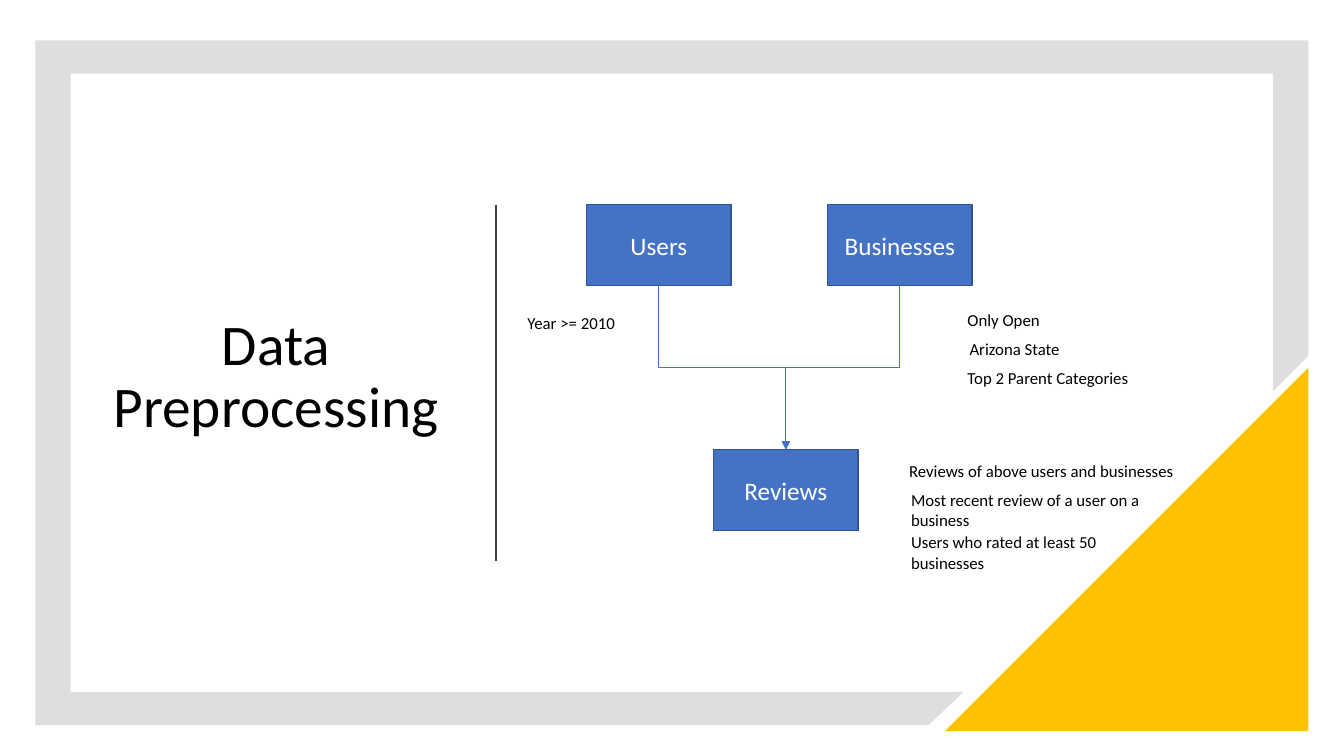
from lxml import etree
from pptx import Presentation
from pptx.dml.color import RGBColor
from pptx.enum.shapes import MSO_CONNECTOR, MSO_SHAPE
from pptx.enum.text import MSO_ANCHOR, PP_ALIGN
from pptx.oxml.ns import qn
from pptx.util import Inches, Pt

RECT, WEDGE = MSO_SHAPE.RECTANGLE, MSO_SHAPE.RIGHT_TRIANGLE
LINE, ELBOW = MSO_CONNECTOR.STRAIGHT, MSO_CONNECTOR.ELBOW
MID, TOP = MSO_ANCHOR.MIDDLE, MSO_ANCHOR.TOP
LEFT, MIDDLE, RIGHT = PP_ALIGN.LEFT, PP_ALIGN.CENTER, PP_ALIGN.RIGHT
HUES = {"frame": "7F7F7F", "gold": "FFC000", "blue": "4472C4", "edge": "31538F",
        "rule": "3F3F3F", "ink": "000000", "white": "FFFFFF"}
WIDE, HIGH = Inches(13.33), Inches(7.5)
COL, ROW = WIDE / 100, HIGH / 100


def hue(name):
    return RGBColor.from_string(HUES[name])


def cell(box, x, y, w, h):
    return (round((box[0] + x) * COL), round((box[1] + y) * ROW),
            round(w * COL), round(h * ROW))


def paint(shape, name):
    shape.shadow.inherit = False
    shape.fill.solid()
    shape.fill.fore_color.rgb = hue(name)
    shape.line.fill.background()


def write(shape, lines, size, ink="ink", align=LEFT, anchor=TOP, gap=1.0):
    frame = shape.text_frame
    frame.word_wrap = True
    frame.vertical_anchor = anchor
    for n, line in enumerate(lines):
        para = frame.paragraphs[0] if n == 0 else frame.add_paragraph()
        para.text = line
        for key, value in {"alignment": align, "line_spacing": gap}.items():
            setattr(para, key, value)
        for key, value in {"name": "Calibri", "size": Pt(size)}.items():
            setattr(para.font, key, value)
        para.font.color.rgb = hue(ink)


def draw(link, name, width):
    link.line.color.rgb = hue(name)
    link.line.width = Pt(width)
    etree.SubElement(link._element.spPr, qn("a:effectLst"))


def border(shapes, box):
    x, y, w, h = box
    dx, dy = 2.63, 4.4
    right, foot = x + w, y + h
    points = [(x, y), (right, y), (right, y + 41.73), (right - dx, y + 46.4),
              (right - dx, y + dy), (x + dx, y + dy), (x + dx, foot - dy),
              (x + 69.08, foot - dy), (x + 66.45, foot), (x, foot)]
    spots = [(round(a * COL), round(b * ROW)) for a, b in points]
    path = shapes.build_freeform(*spots[0])
    path.add_line_segments(spots[1:], close=True)
    band = path.convert_to_shape()
    paint(band, "frame")
    tone = band._element.spPr.find(qn("a:solidFill"))[0]
    etree.SubElement(tone, qn("a:alpha"), val="25000")


def corner(shapes, box):
    wedge = shapes.add_shape(WEDGE, *cell(box, 0, 0, *box[2:]))
    paint(wedge, "gold")
    wedge._element.spPr.xfrm.set("flipH", "1")


def heading(shapes, box):
    title = shapes.add_textbox(*cell(box, 0, 0, 27, box[3]))
    write(title, ["Data Preprocessing"], 41, align=MIDDLE, anchor=MID, gap=0.9)
    x, y, _, h = cell(box, 29.85, 9.74, 0, 47.2)
    draw(shapes.add_connector(LINE, x, y, x, y + h), "rule", 1.5)


def node(shapes, box, name, x, y):
    block = shapes.add_shape(RECT, *cell(box, x, y, 10.75, 10.67))
    paint(block, "blue")
    block.line.color.rgb = hue("edge")
    block.line.width = Pt(1)
    write(block, [name], 18, "white", MIDDLE, MID)
    return block


def join(shapes, start, end):
    link = shapes.add_connector(ELBOW, 0, 0, 0, 0)
    link.begin_connect(start, 2)
    link.end_connect(end, 0)
    x, y = start.left + start.width // 2, start.top + start.height
    dx, dy = end.left + end.width // 2 - x, end.top - y
    place = {"left": x + (dx - dy) // 2, "top": y + (dy - abs(dx)) // 2,
             "width": dy, "height": abs(dx)}
    for key, value in place.items():
        setattr(link, key, value)
    turn = link._element.spPr.xfrm
    for flip in ("flipH", "flipV"):
        turn.attrib.pop(flip, None)
    turn.set("rot", "16200000" if dx > 0 else "5400000")
    if dx > 0:
        turn.set("flipH", "1")
    draw(link, "blue", 0.75)
    tip = link._element.spPr.find(qn("a:ln"))
    etree.SubElement(tip, qn("a:tailEnd"), type="triangle")


def flow(shapes, box):
    users = node(shapes, box, "Users", 9, 0)
    firms = node(shapes, box, "Businesses", 26.93, 0)
    views = node(shapes, box, "Reviews", 18.45, 32.4)
    for start in (firms, users):
        join(shapes, start, views)
    notes = [
        (0, 13.6, 11.85, RIGHT, ["Year >= 2010"]),
        (36.6, 13.2, 11.85, LEFT, ["Only Open"]),
        (36.75, 17.07, 11.85, LEFT, ["Arizona State"]),
        (36.6, 20.93, 13.88, LEFT, ["Top 2 Parent Categories"]),
        (32.25, 33.2, 21.6, LEFT, ["Reviews of above users and businesses"]),
        (32.4, 37.07, 20.55, LEFT, ["Most recent review of a user on a business"]),
        (32.4, 42.67, 21.6, LEFT, ["Users who rated at least 50", "businesses"]),
    ]
    for x, y, w, align, lines in notes:
        tall = 6.73 if len(" ".join(lines)) > 37 else 4
        note = shapes.add_textbox(*cell(box, x, y, w, tall))
        write(note, lines, 12, align=align)


def main():
    deck = Presentation()
    deck.slide_width, deck.slide_height = WIDE, HIGH
    shapes = deck.slides.add_slide(deck.slide_layouts[6]).shapes
    border(shapes, (2.63, 5.33, 94.72, 90.6))
    corner(shapes, (70.35, 48.67, 27, 48))
    heading(shapes, (7.05, 17.33, 29.85, 65.33))
    flow(shapes, (34.65, 27.07, 54, 49.4))
    deck.save("out.pptx")


if __name__ == "__main__":
    main()
